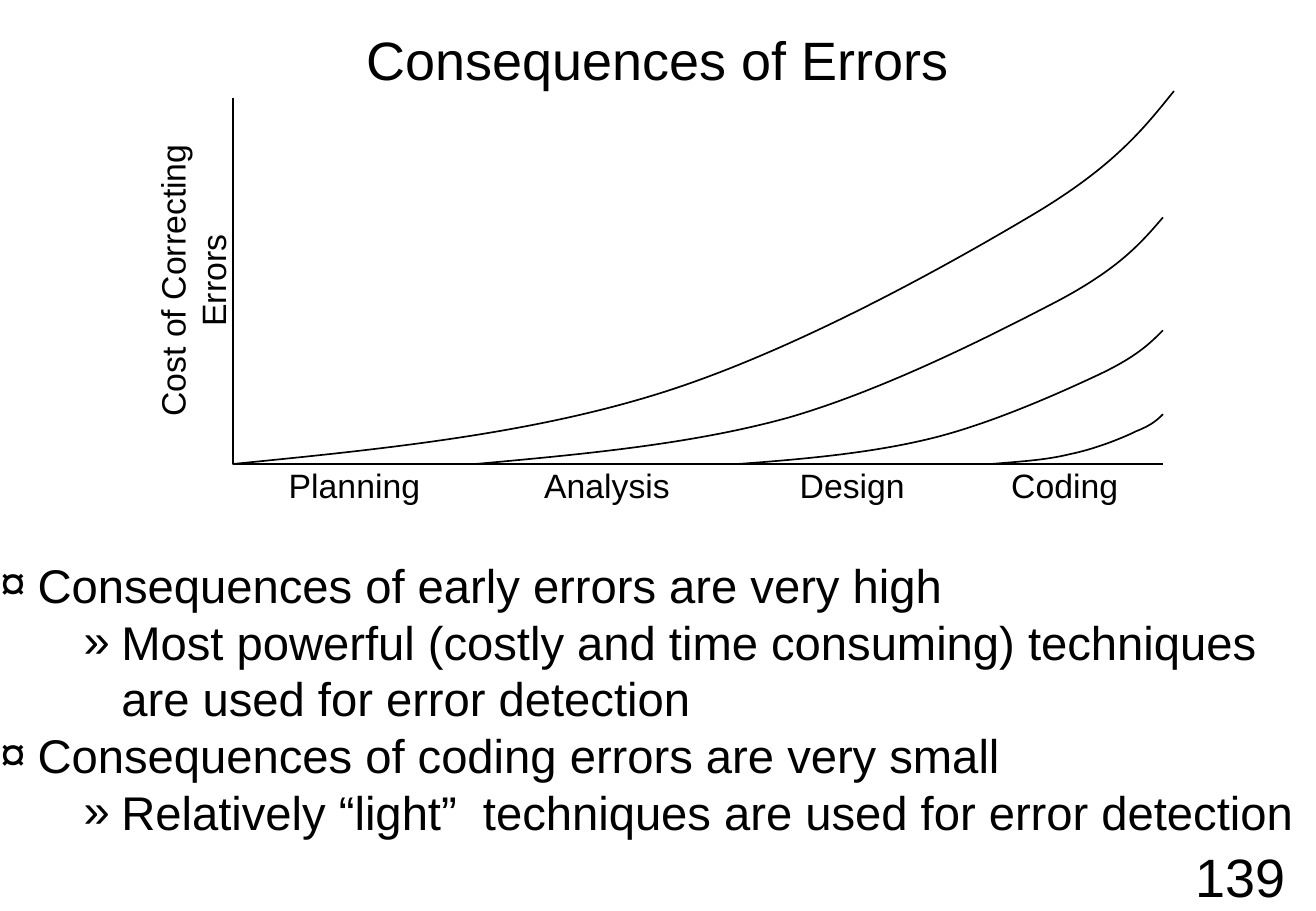
from dataclasses import dataclass

from lxml.etree import SubElement
from pptx import Presentation
from pptx.dml.color import RGBColor
from pptx.enum.text import MSO_ANCHOR, PP_ALIGN
from pptx.oxml.ns import qn
from pptx.util import Inches, Pt


@dataclass(frozen=True)
class Theme:
    font: str = "Arial"
    ink: RGBColor = RGBColor(0, 0, 0)
    title_size: int = 32
    body_size: int = 28
    label_size: int = 20
    line_width: int = 1


THEME = Theme()
TITLE = "Consequences of Errors"
PAGE_NUMBER = "139"
COST_LABEL = "Cost of Correcting Errors"
PHASES = [("Planning", 2.92), ("Analysis", 5), ("Design", 7.02), ("Coding", 8.77)]
AXES = [(1.92, 0.81), (1.92, 3.82), (9.58, 3.82)]
COST_CURVES = [
    [(1.92, 3.82), (3.13, 3.7), (4.34, 3.58), (5.43, 3.24), (6.52, 2.9),
     (7.76, 2.21), (8.47, 1.79), (9.17, 1.38), (9.42, 1.06), (9.67, 0.75)],
    [(3.92, 3.82), (4.8, 3.74), (5.69, 3.66), (6.49, 3.44), (7.29, 3.21),
     (8.19, 2.75), (8.71, 2.48), (9.22, 2.21), (9.4, 2), (9.58, 1.79)],
    [(6.08, 3.82), (6.63, 3.78), (7.18, 3.73), (7.67, 3.61), (8.16, 3.49),
     (8.72, 3.24), (9.04, 3.09), (9.36, 2.94), (9.47, 2.83), (9.58, 2.72)],
    [(8.17, 3.82), (8.39, 3.8), (8.61, 3.79), (8.81, 3.74), (9.01, 3.7),
     (9.24, 3.61), (9.36, 3.55), (9.49, 3.5), (9.54, 3.45), (9.58, 3.41)],
]
BULLETS = [
    (0, "Consequences of early errors are very high"),
    (1, "Most powerful (costly and time consuming) techniques are used for error detection"),
    (0, "Consequences of coding errors are very small"),
    (1, "Relatively “light”  techniques are used for error detection"),
]
BULLET_STYLES = [("¤", 0.31), ("»", 1)]
BULLET_HANG = 0.31


def style_font(font, size):
    font.name = THEME.font
    font.size = Pt(size)
    font.color.rgb = THEME.ink


def add_text(slide, text, left, top, width, height, size, wrap=True, margin=0.1):
    box = slide.shapes.add_textbox(Inches(left), Inches(top), Inches(width), Inches(height))
    frame = box.text_frame
    frame.word_wrap = wrap
    frame.margin_left = frame.margin_right = Inches(margin)
    frame.vertical_anchor = MSO_ANCHOR.MIDDLE
    frame.text = text
    paragraph = frame.paragraphs[0]
    paragraph.alignment = PP_ALIGN.CENTER
    style_font(paragraph.font, size)
    for run in paragraph.runs:
        style_font(run.font, size)
    return box


def add_phases(slide):
    left = AXES[1][0]
    text = "".join(f"\t{phase}" for phase, _ in PHASES)
    box = add_text(slide, text, left, 3.82, 7.75, 0.35, THEME.label_size, margin=0)
    paragraph = box.text_frame.paragraphs[0]
    paragraph.alignment = PP_ALIGN.LEFT
    properties = paragraph._p.get_or_add_pPr()
    tabs = properties.makeelement(qn("a:tabLst"), {})
    properties.insert(0, tabs)
    for _, center in PHASES:
        SubElement(tabs, qn("a:tab"), pos=str(Inches(center - left)), algn="ctr")


def add_line(slide, points):
    start, *others = [(Inches(x), Inches(y)) for x, y in points]
    builder = slide.shapes.build_freeform(*start)
    builder.add_line_segments(others, close=False)
    shape = builder.convert_to_shape()
    shape.shadow.inherit = False
    shape.fill.background()
    shape.line.color.rgb = THEME.ink
    shape.line.width = Pt(THEME.line_width)
    return shape


def add_curve(slide, controls):
    shape = add_line(slide, controls)
    segments = list(shape._element.iter(qn("a:lnTo")))
    outline = segments[0].getparent()
    for first in range(0, len(segments), 3):
        curve = SubElement(outline, qn("a:cubicBezTo"))
        for segment in segments[first:first + 3]:
            curve.append(segment[0])
            outline.remove(segment)


def add_bullets(slide):
    box = slide.shapes.add_textbox(0, Inches(4.58), Inches(10.83), Inches(2.9))
    frame = box.text_frame
    frame.word_wrap = True
    frame.margin_left = frame.margin_right = frame.margin_top = frame.margin_bottom = 0
    frame.text = "\n".join(text for _, text in BULLETS)
    for paragraph, (level, _) in zip(frame.paragraphs, BULLETS):
        symbol, indent = BULLET_STYLES[level]
        paragraph.level = level
        properties = paragraph._p.get_or_add_pPr()
        properties.set("marL", str(Inches(indent)))
        properties.set("indent", str(-Inches(BULLET_HANG)))
        SubElement(properties, qn("a:buFont")).set("typeface", THEME.font)
        SubElement(properties, qn("a:buChar")).set("char", symbol)
        style_font(paragraph.runs[0].font, THEME.body_size)


def main():
    presentation = Presentation()
    presentation.slide_width = Inches(10.84)
    presentation.slide_height = Inches(7.5)
    slide = presentation.slides.add_slide(presentation.slide_layouts[6])

    add_text(slide, TITLE, 0, 0, 10.84, 0.97, THEME.title_size)
    add_line(slide, AXES)
    cost_label = add_text(slide, COST_LABEL, 0.08, 2.06, 3.01, 0.5, THEME.label_size,
                          wrap=False, margin=0)
    cost_label.rotation = 270
    add_phases(slide)
    for controls in COST_CURVES:
        add_curve(slide, controls)
    add_bullets(slide)
    add_text(slide, PAGE_NUMBER, 9.59, 6.92, 1.25, 0.58, THEME.title_size, wrap=False)

    presentation.save("out.pptx")


if __name__ == "__main__":
    main()
